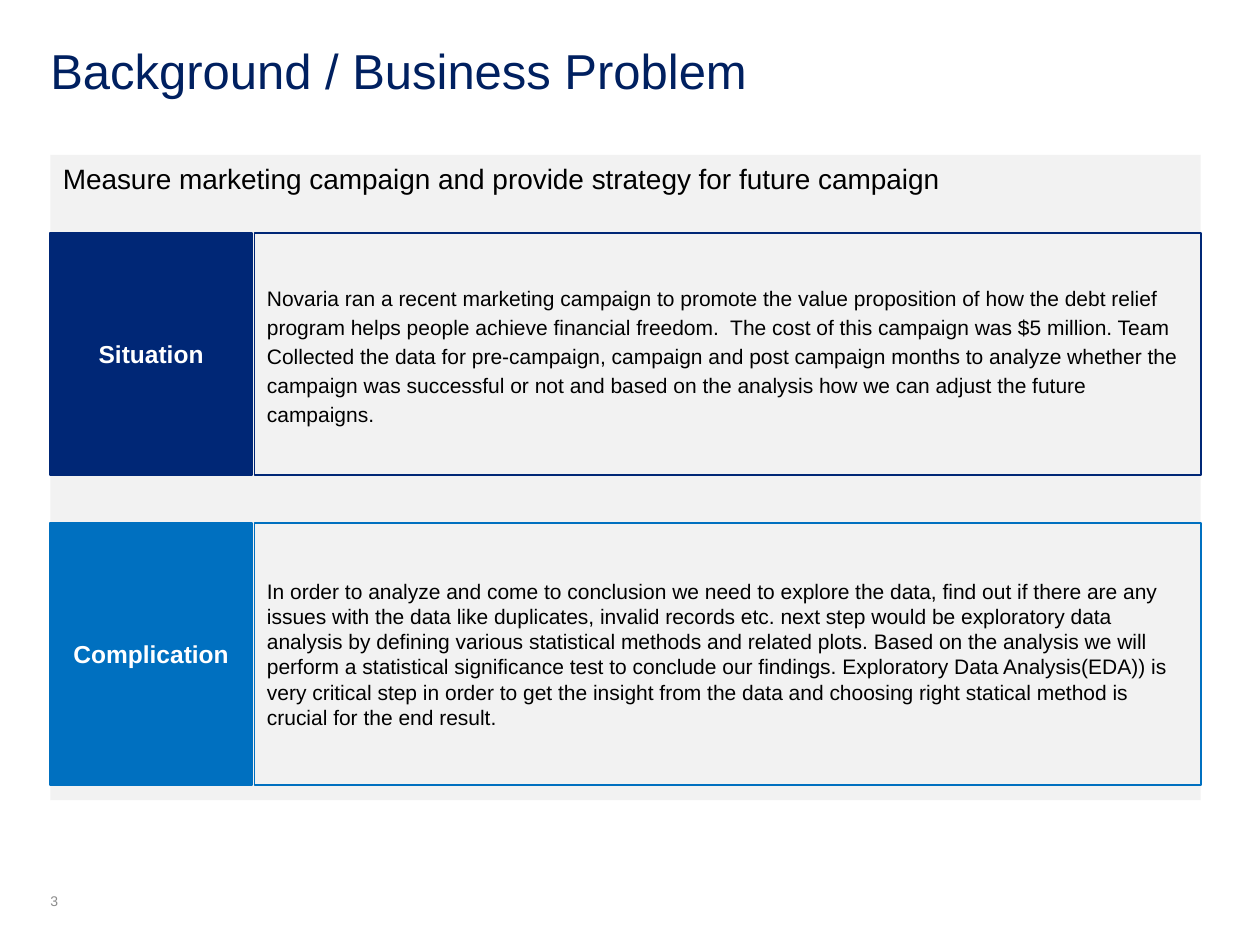
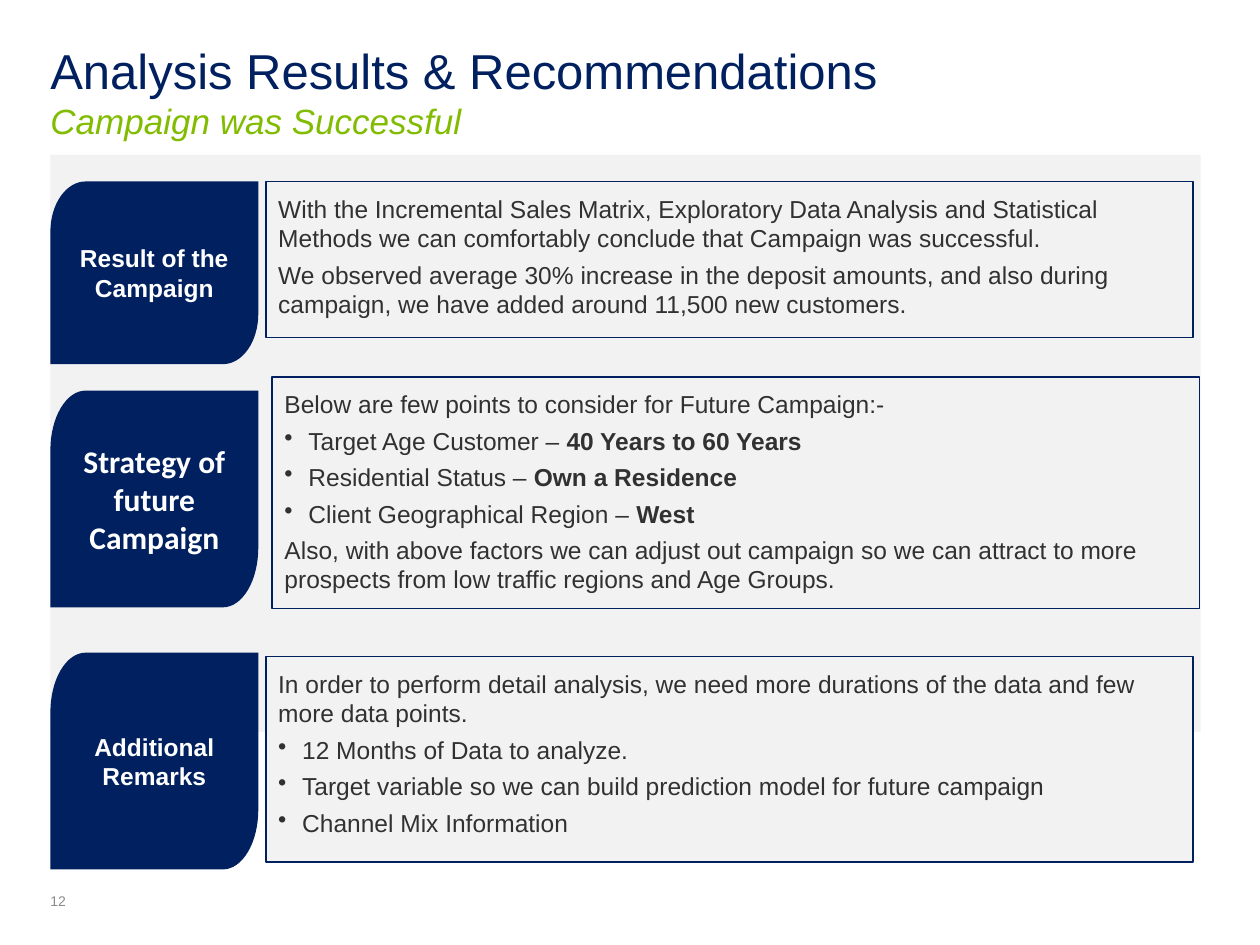
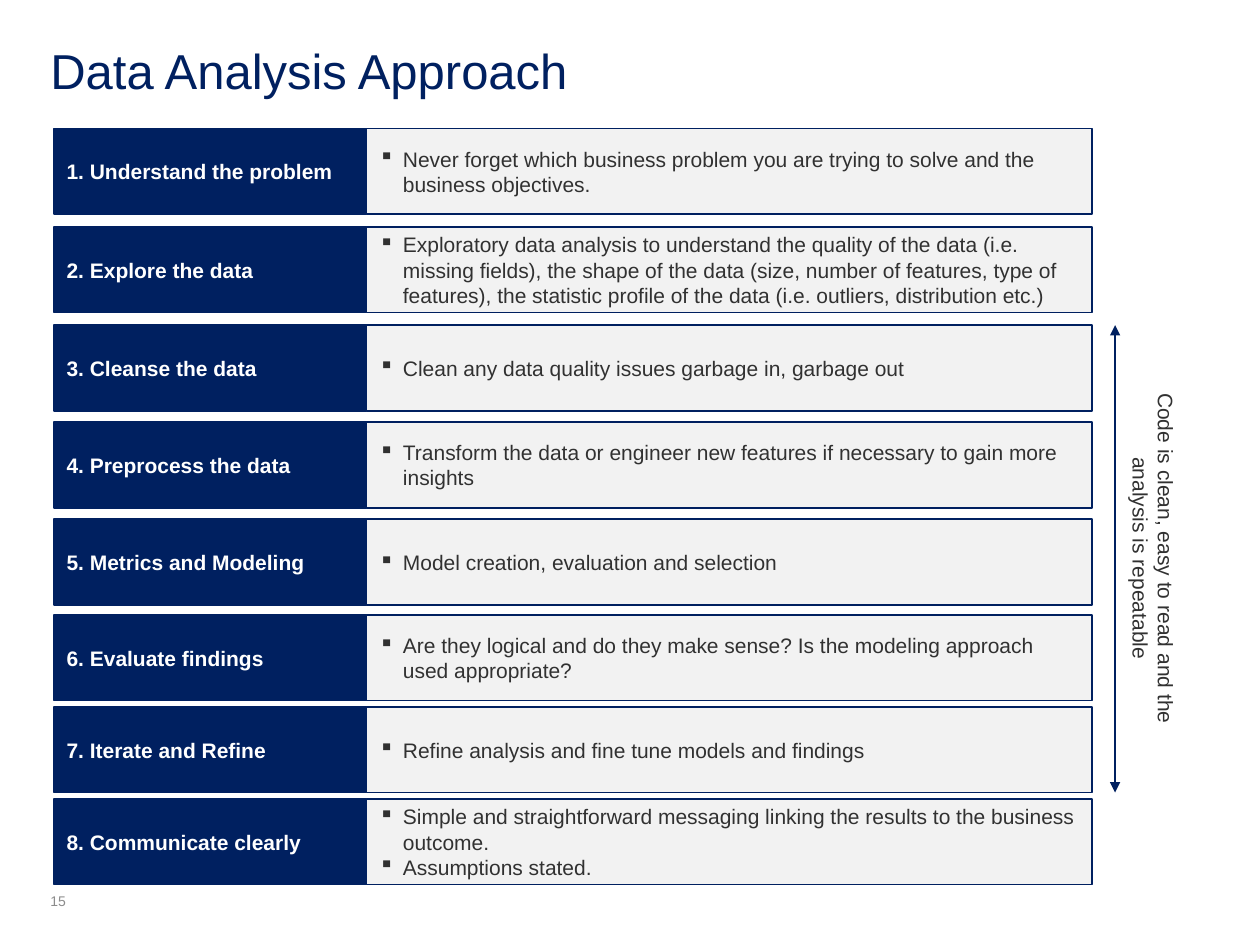
import math

import pptx
import pptx.dml.color
import pptx.enum.shapes
import pptx.enum.text
import pptx.oxml
import pptx.oxml.ns
import pptx.util

Inches = pptx.util.Inches
Pt = pptx.util.Pt
ALIGN = pptx.enum.text.PP_ALIGN
ANCHOR = pptx.enum.text.MSO_ANCHOR

COLORS = {
    "navy": "002060",
    "indigo": "002776",
    "blue": "0070C0",
    "green": "81BC00",
    "panel": "F2F2F2",
    "ink": "313131",
    "black": "000000",
    "white": "FFFFFF",
    "number": "8C8C8C",
}
BULLETS = ("•", "▪")
LEFT = 0.4
PANEL_TOP = 1.23
PANEL_WIDTH = 9.13

PROBLEM_ROWS = [
    ("Situation", "indigo", 1.85, 1.92, 1.15,
     "Novaria ran a recent marketing campaign to promote the value proposition of how the debt "
     "relief program helps people achieve financial freedom.  The cost of this campaign was "
     "$5 million. Team Collected the data for pre-campaign, campaign and post campaign months to "
     "analyze whether the campaign was successful or not and based on the analysis how we can "
     "adjust the future campaigns."),
    ("Complication", "blue", 4.15, 2.08, 1.0,
     "In order to analyze and come to conclusion we need to explore the data, find out if there "
     "are any issues with the data like duplicates, invalid records etc. next step would be "
     "exploratory data analysis by defining various statistical methods and related plots. Based "
     "on the analysis we will perform a statistical significance test to conclude our findings. "
     "Exploratory Data Analysis(EDA)) is very critical step in order to get the insight from the "
     "data and choosing right statical method is crucial for the end result."),
]

RESULT_ROWS = [
    ("Result of the Campaign", 14, "Arial", (1.44, 1.45), (2.11, 1.44, 7.36, 1.24), [
        "With the Incremental Sales Matrix, Exploratory Data Analysis and Statistical Methods "
        "we can comfortably conclude that Campaign was successful.",
        "We observed average 30% increase in the deposit amounts, and also during campaign, "
        "we have added around 11,500 new customers."]),
    ("Strategy of future Campaign", 18, "Calibri", (3.1, 1.72), (2.16, 2.99, 7.36, 1.84), [
        "Below are few points to consider for Future Campaign:-",
        "•Target Age Customer – *40 Years to 60 Years",
        "•Residential Status – *Own a Residence",
        "•Client Geographical Region – *West",
        "Also, with above factors we can adjust out campaign so we can attract to more prospects "
        "from low traffic regions and Age Groups."]),
    ("Additional Remarks", 14, "Arial", (5.18, 1.72), (2.11, 5.21, 7.36, 1.63), [
        "In order to perform detail analysis, we need more durations of the data and few more "
        "data points.",
        "•12 Months of Data to analyze.",
        "•Target variable so we can build prediction model for future campaign",
        "•Channel Mix Information"]),
]

STEPS = [
    (1.02, "Understand the problem", [
        "▪Never forget which business problem you are trying to solve and the business "
        "objectives."]),
    (1.8, "Explore the data", [
        "▪Exploratory data analysis to understand the quality of the data (i.e. missing fields), "
        "the shape of the data (size, number of features, type of features), the statistic "
        "profile of the data (i.e. outliers, distribution etc.)"]),
    (2.58, "Cleanse the data", ["▪Clean any data quality issues garbage in, garbage out"]),
    (3.35, "Preprocess the data", [
        "▪Transform the data or engineer new features if necessary to gain more insights"]),
    (4.12, "Metrics and Modeling", ["▪Model creation, evaluation and selection"]),
    (4.88, "Evaluate findings", [
        "▪Are they logical and do they make sense? Is the modeling approach used appropriate?"]),
    (5.61, "Iterate and Refine", ["▪Refine analysis and fine tune models and findings"]),
    (6.34, "Communicate clearly", [
        "▪Simple and straightforward messaging linking the results to the business outcome.",
        "▪Assumptions stated."]),
]


def rgb(name):
    return pptx.dml.color.RGBColor.from_string(COLORS[name])


def style(span, size, color, bold=False, font="Arial"):
    span.font.size = Pt(size)
    span.font.name = font
    span.font.bold = bold
    span.font.color.rgb = rgb(color)


def add_bullet(para, mark):
    properties = para._p.get_or_add_pPr()
    properties.set("marL", str(Inches(0.19)))
    properties.set("indent", str(Inches(-0.19)))
    bullet = pptx.oxml.parse_xml(
        f'<a:buChar {pptx.oxml.ns.nsdecls("a")} char="{mark}"/>')
    properties.append(bullet)


def write(shape, lines, size, color, bold=False, font="Arial", align=ALIGN.LEFT,
          anchor=ANCHOR.MIDDLE, insets=(0.1, 0.05), before=0, spacing=1.0):
    frame = shape.text_frame
    frame.word_wrap = True
    frame.vertical_anchor = anchor
    frame.margin_left = frame.margin_right = Inches(insets[0])
    frame.margin_top = frame.margin_bottom = Inches(insets[1])
    for index, line in enumerate(lines):
        para = frame.add_paragraph() if index else frame.paragraphs[0]
        para.alignment = align
        para.space_before = Pt(before)
        para.line_spacing = spacing
        if line.startswith(BULLETS):
            add_bullet(para, line[0])
            line = line[1:]
        for part, text in enumerate(line.split("*")):
            span = para.add_run()
            span.text = text
            style(span, size, color, bold or part == 1, font)


def paint(shape, fill=None, line=None):
    shape.shadow.inherit = False
    if fill:
        shape.fill.solid()
        shape.fill.fore_color.rgb = rgb(fill)
    else:
        shape.fill.background()
    if line:
        shape.line.color.rgb = rgb(line)
        shape.line.width = Pt(1)
    else:
        shape.line.fill.background()
    return shape


def add_box(page, box, fill=None, line=None):
    shape = page.shapes.add_shape(
        pptx.enum.shapes.MSO_SHAPE.RECTANGLE, *map(Inches, box))
    return paint(shape, fill, line)


def add_leaf(page, box):
    left, top, width, height = box
    radius_x, radius_y = 0.28, 0.275 * height
    arc = [math.radians(90 * step / 16) for step in range(17)]
    corner = [(radius_x * (1 - math.sin(angle)), radius_y * (1 - math.cos(angle)))
              for angle in arc]
    outline = corner + [(0, height)]
    outline += [(width - x, height - y) for x, y in corner] + [(width, 0)]
    points = [(Inches(left + x), Inches(top + y)) for x, y in outline]
    builder = page.shapes.build_freeform(*points[0])
    builder.add_line_segments(points[1:], close=True)
    return paint(builder.convert_to_shape(), "navy")


def add_page(deck, title, number, subtitle=None):
    page = deck.slides.add_slide(deck.slide_layouts[5])
    heading = page.shapes.title
    heading.left, heading.top, heading.width, heading.height = map(
        Inches, (LEFT, 0.32, 9.2, 0.51))
    frame = heading.text_frame
    frame.auto_size = pptx.enum.text.MSO_AUTO_SIZE.NONE
    frame.vertical_anchor = ANCHOR.TOP
    frame.margin_left = frame.margin_right = frame.margin_top = frame.margin_bottom = 0
    para = frame.paragraphs[0]
    para.text = f"{title}\n{subtitle}" if subtitle else title
    para.alignment = ALIGN.LEFT
    style(para.runs[0], 28, "navy")
    if subtitle:
        style(para.runs[1], 20, "green")
        para.runs[1].font.italic = True
    footer = page.shapes.add_textbox(*map(Inches, (LEFT, 7.09, 0.5, 0.13)))
    write(footer, [str(number)], 8, "number", anchor=ANCHOR.BOTTOM, insets=(0, 0))
    return page


def add_problem_row(page, box, label, color, text, spacing):
    left, top, width, height = box
    label_width, body_offset = 1.6, 1.62
    tag = add_box(page, (left, top, label_width, height), color, color)
    write(tag, [label], 14, "white", bold=True, align=ALIGN.CENTER)
    body = add_box(page, (left + body_offset, top, width - body_offset, height), line=color)
    write(body, [text], 12, "black", spacing=spacing)


def build_problem(deck):
    page = add_page(deck, "Background / Business Problem", 3)
    panel = add_box(page, (LEFT, PANEL_TOP, PANEL_WIDTH, 5.12), "panel")
    write(panel, ["Measure marketing campaign and provide strategy for future campaign"],
          16, "black", anchor=ANCHOR.TOP)
    for label, color, top, height, spacing, text in PROBLEM_ROWS:
        add_problem_row(page, (LEFT, top, PANEL_WIDTH, height), label, color, text, spacing)


def build_results(deck):
    page = add_page(deck, "Analysis Results & Recommendations", 12, "Campaign was Successful")
    add_box(page, (LEFT, PANEL_TOP, PANEL_WIDTH, 4.58), "panel")
    for label, size, font, (top, height), body_box, lines in RESULT_ROWS:
        leaf = add_leaf(page, (LEFT, top, 1.65, height))
        write(leaf, [label], size, "white", bold=True, font=font, align=ALIGN.CENTER,
              insets=(0.1, 0.1))
        body = add_box(page, body_box, "panel", "navy")
        write(body, lines, 14, "ink", anchor=ANCHOR.TOP, insets=(0.1, 0.1), before=4)


def add_step(page, box, label, lines):
    left, top, width, height = box
    label_width = 2.48
    tag = add_box(page, (left, top, label_width, height), "navy", "navy")
    write(tag, [label], 12, "white", bold=True)
    body = add_box(page, (left + label_width, top, width - label_width, height),
                   "panel", "navy")
    write(body, lines, 12, "ink")


def add_span_arrow(page, x, top, bottom):
    arrow = page.shapes.add_connector(
        pptx.enum.shapes.MSO_CONNECTOR.STRAIGHT, *map(Inches, (x, top, x, bottom)))
    arrow.line.color.rgb = rgb("navy")
    arrow.line.width = Pt(0.75)
    namespace = pptx.oxml.ns.nsdecls("a")
    for end in ("headEnd", "tailEnd"):
        arrow.line._get_or_add_ln().append(
            pptx.oxml.parse_xml(f'<a:{end} {namespace} type="triangle"/>'))
    arrow._element.spPr.append(pptx.oxml.parse_xml(f"<a:effectLst {namespace}/>"))


def build_approach(deck):
    page = add_page(deck, "Data Analysis Approach", 15)
    for number, (top, label, lines) in enumerate(STEPS, 1):
        add_step(page, (0.43, top, 8.24, 0.68), f"{number}. {label}", lines)
    add_span_arrow(page, 8.85, 2.58, 6.29)
    note = page.shapes.add_textbox(*map(Inches, (7.48, 4.18, 3.35, 0.5)))
    note.rotation = 90
    write(note, ["Code is clean, easy to read and the analysis is repeatable"], 12, "ink",
          align=ALIGN.CENTER, anchor=ANCHOR.TOP)


def main():
    deck = pptx.Presentation()
    deck.slide_width = Inches(10)
    deck.slide_height = Inches(7.5)
    build_problem(deck)
    build_results(deck)
    build_approach(deck)
    deck.save("out.pptx")


if __name__ == "__main__":
    main()
